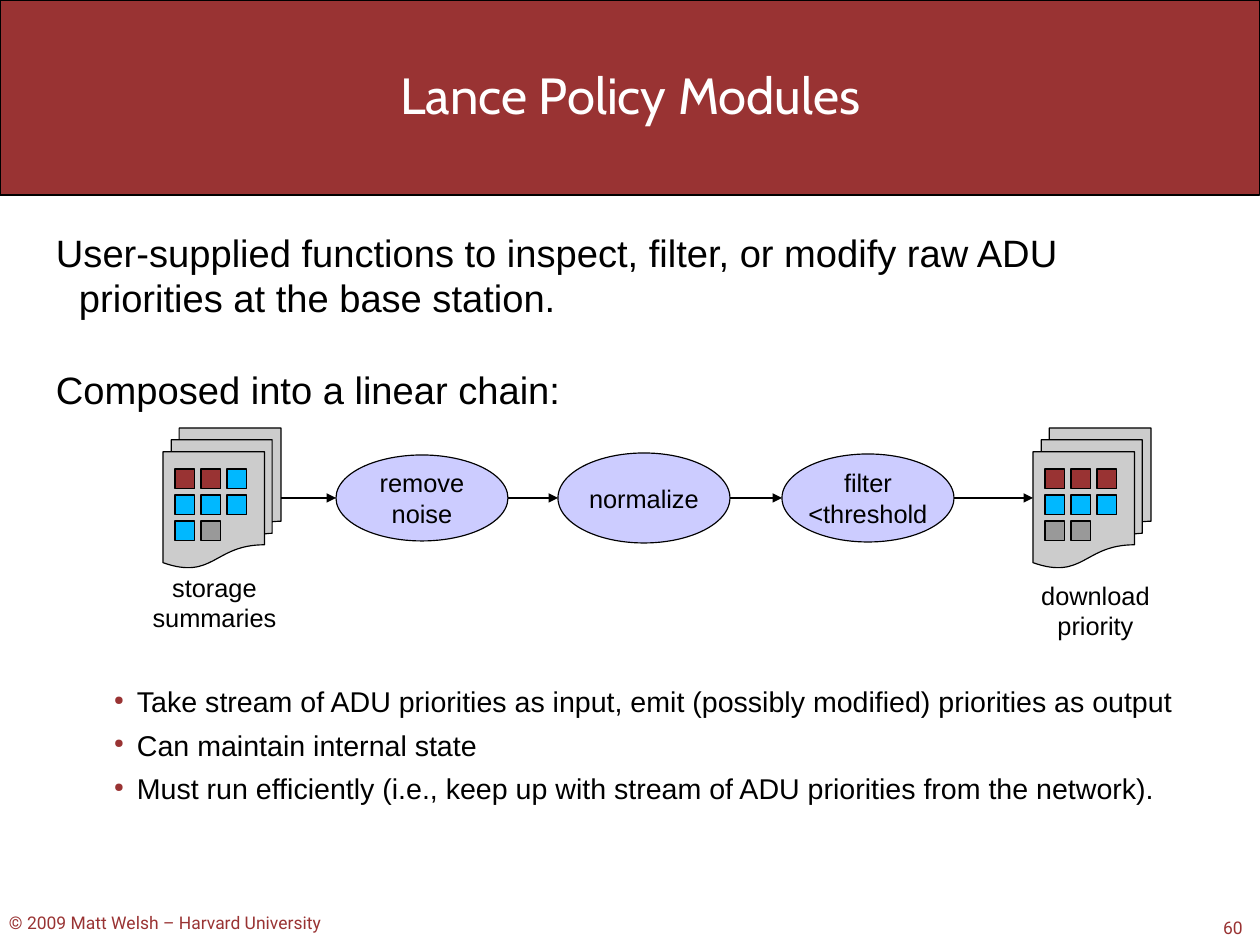
"""Builds the slide on Lance policy modules and their linear chain."""
from dataclasses import dataclass
from lxml import etree
from pptx import Presentation
from pptx import util as u
from pptx.dml.color import RGBColor
from pptx.enum import shapes, text
from pptx.oxml.ns import qn


@dataclass(frozen=True)
class Theme:
    crimson: str = "993333"
    blue: str = "00B8FF"
    gray: str = "999999"
    paper: str = "CCCCCC"
    lilac: str = "CCCCFF"
    black: str = "000000"
    white: str = "FFFFFF"
    body_font: str = "Arial"
    title_font: str = "Cabin"
    footer_font: str = "Roboto"
    title_size: int = 32
    intro_size: int = 24
    bullet_size: int = 18
    label_size: int = 16
    footer_size: int = 11
    line_width: float = 0.75


THEME = Theme()
TITLE = "Lance Policy Modules"
INTRO = [
    "User-supplied functions to inspect, filter, or modify raw ADU\npriorities at the base station.",
    "Composed into a linear chain:",
]
POINTS = [
    "Take stream of ADU priorities as input, emit (possibly modified) priorities as output",
    "Can maintain internal state",
    "Must run efficiently (i.e., keep up with stream of ADU priorities from the network).",
]
FOOTERS = [
    ("© 2009 Matt Welsh – Harvard University", (9, 912, 344, 22)),
    ("60", (1223, 917, 22, 22)),
]
TILE_COLORS = {"r": THEME.crimson, "b": THEME.blue, "g": THEME.gray}
SUMMARIES = [
    (163, ["rrb", "bbb", "bg"], ["storage", "summaries"], (152, 572, 125, 58)),
    (1033, ["rrr", "bbb", "gg"], ["download", "priority"], (1041, 580, 109, 58)),
]
MODULES = [
    (336, 86, ["remove", "noise"]),
    (558, 90, ["normalize"]),
    (782, 88, ["filter", "<threshold"]),
]
CHAIN_Y = 498
DOCUMENT_W, DOCUMENT_H = 118, 140
MODULE_W = 172
TILE, TILE_PITCH, TILE_LEFT, TILE_TOP = 20, 26, 12, 41
HANGING = 23


def px(length):
    return u.Emu(length * 8000)


def box(bounds):
    return [px(length) for length in bounds]


def paint(shape, fill):
    shape.shadow.inherit = False
    shape.fill.solid()
    shape.fill.fore_color.rgb = RGBColor.from_string(fill)
    shape.line.color.rgb = RGBColor.from_string(THEME.black)
    shape.line.width = u.Pt(THEME.line_width)


def add_bullet(properties):
    color = etree.SubElement(properties, qn("a:buClr"))
    etree.SubElement(color, qn("a:srgbClr"), val=THEME.crimson)
    etree.SubElement(properties, qn("a:buSzPct"), val="45000")
    etree.SubElement(properties, qn("a:buChar"), char="●")


def write(shape, lines, size, font=THEME.body_font, color=THEME.black, align=text.PP_ALIGN.LEFT,
          anchor=text.MSO_ANCHOR.TOP, wrap=False, margin=0, bulleted=False, before=0, after=0):
    frame = shape.text_frame
    frame.margin_left = frame.margin_right = frame.margin_top = frame.margin_bottom = 0
    frame.word_wrap = wrap
    frame.auto_size = text.MSO_AUTO_SIZE.NONE
    frame.vertical_anchor = anchor
    for index, line in enumerate(lines):
        paragraph = frame.add_paragraph() if index else frame.paragraphs[0]
        paragraph.text = line
        paragraph.alignment = align
        if margin:
            properties = paragraph._p.get_or_add_pPr()
            properties.set("marL", str(px(margin)))
            properties.set("indent", str(-px(HANGING)))
            if bulleted:
                add_bullet(properties)
        if before and index:
            paragraph.space_before = u.Pt(before)
        if after:
            paragraph.space_after = u.Pt(after)
        paragraph.font.name = font
        paragraph.font.size = u.Pt(size)
        paragraph.font.color.rgb = RGBColor.from_string(color)


def add_summary(slide, left, tile_rows):
    group = slide.shapes.add_group_shape()
    top = CHAIN_Y - DOCUMENT_H // 2
    document = group.shapes.add_shape(shapes.MSO_SHAPE.FLOWCHART_MULTIDOCUMENT,
                                      *box((left, top, DOCUMENT_W, DOCUMENT_H)))
    paint(document, THEME.paper)
    for row, codes in enumerate(tile_rows):
        for column, code in enumerate(codes):
            tile = group.shapes.add_shape(shapes.MSO_SHAPE.RECTANGLE, *box((
                left + TILE_LEFT + column * TILE_PITCH, top + TILE_TOP + row * TILE_PITCH, TILE, TILE)))
            paint(tile, TILE_COLORS[code])
    return document


def add_arrow(slide, start, end):
    arrow = slide.shapes.add_connector(shapes.MSO_CONNECTOR.STRAIGHT,
                                       *box((start, CHAIN_Y, end, CHAIN_Y)))
    arrow.line.color.rgb = RGBColor.from_string(THEME.black)
    arrow.line.width = u.Pt(THEME.line_width)
    properties = arrow.element.spPr
    etree.SubElement(properties.find(qn("a:ln")), qn("a:tailEnd"), type="triangle")
    etree.SubElement(properties, qn("a:effectLst"))
    return arrow


def main():
    deck = Presentation()
    deck.slide_width, deck.slide_height = px(1260), px(945)
    slide = deck.slides.add_slide(deck.slide_layouts[5])

    band = slide.shapes.add_shape(shapes.MSO_SHAPE.RECTANGLE, *box((0, 0, 1260, 195)))
    paint(band, THEME.crimson)
    band.element.getparent().insert(2, band.element)

    title = slide.shapes.title
    title.left, title.top, title.width, title.height = box((93, 63, 1075, 62))
    write(title, [TITLE], THEME.title_size, THEME.title_font, THEME.white,
          text.PP_ALIGN.CENTER, text.MSO_ANCHOR.MIDDLE, wrap=True)

    for footer, bounds in FOOTERS:
        write(slide.shapes.add_textbox(*box(bounds)), [footer], THEME.footer_size,
              THEME.footer_font, THEME.crimson)

    intro = slide.shapes.add_textbox(*box((42, 229, 1201, 180)))
    write(intro, INTRO, THEME.intro_size, wrap=True, margin=37, before=23.1, after=5.8)
    points = slide.shapes.add_textbox(*box((42, 684, 1201, 130)))
    write(points, POINTS, THEME.bullet_size, wrap=True, margin=95, bulleted=True, after=5.8)

    documents = []
    for left, tile_rows, label, bounds in SUMMARIES:
        documents.append(add_summary(slide, left, tile_rows))
        write(slide.shapes.add_textbox(*box(bounds)), label, THEME.label_size,
              align=text.PP_ALIGN.CENTER)

    for left, height, label in MODULES:
        module = slide.shapes.add_shape(shapes.MSO_SHAPE.OVAL, *box((
            left, CHAIN_Y - height // 2, MODULE_W, height)))
        paint(module, THEME.lilac)
        write(module, label, THEME.label_size, align=text.PP_ALIGN.CENTER,
              anchor=text.MSO_ANCHOR.MIDDLE)

    module_lefts = [left for left, _, _ in MODULES]
    source, target = [left for left, *_ in SUMMARIES]
    starts = [source + DOCUMENT_W] + [left + MODULE_W for left in module_lefts]
    arrows = [add_arrow(slide, *ends) for ends in zip(starts, module_lefts + [target])]
    arrows[0].begin_connect(documents[0], 3)
    arrows[-1].end_connect(documents[1], 1)

    deck.save("out.pptx")


if __name__ == "__main__":
    main()
